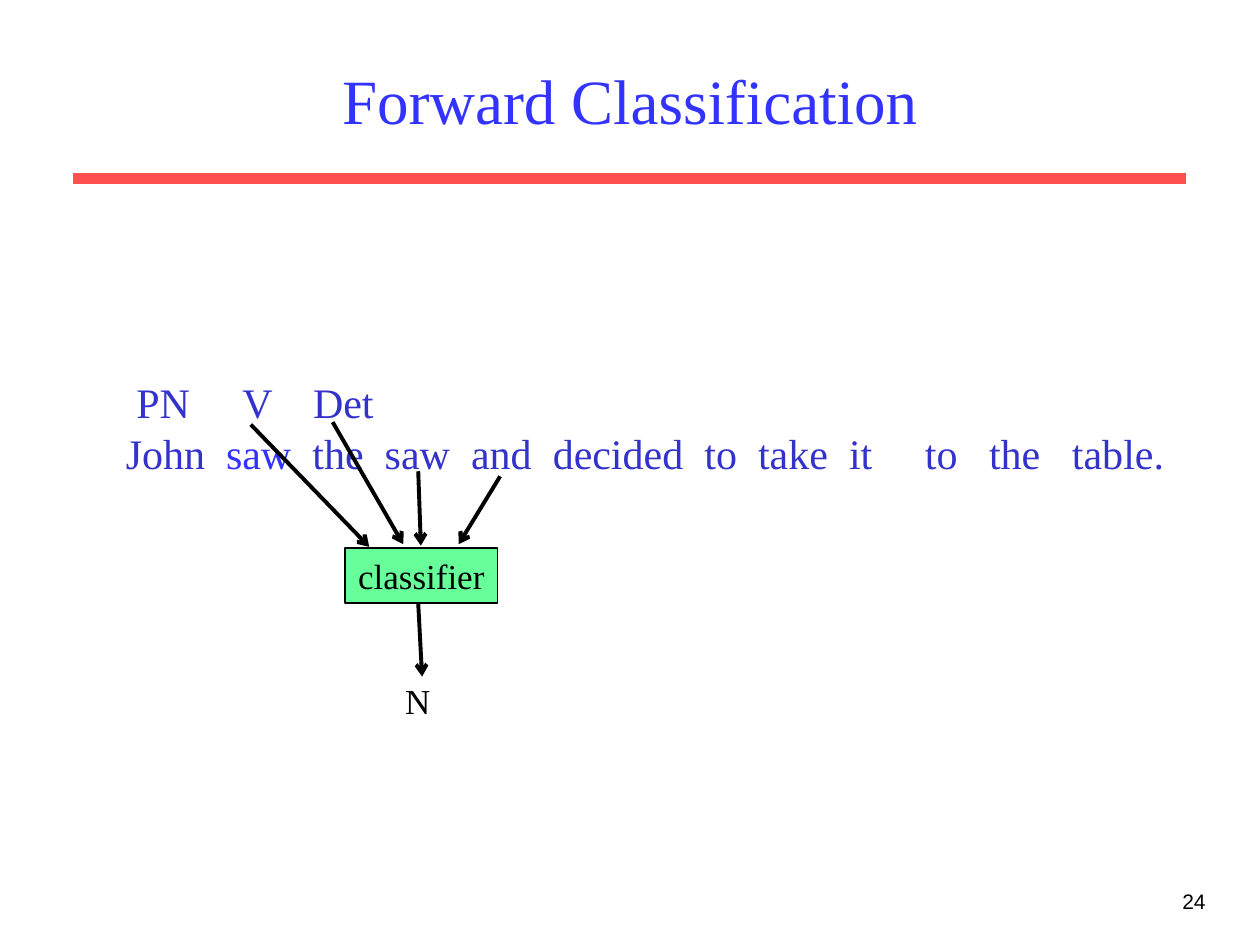
from pptx import Presentation
from pptx.util import Pt
from pptx.dml.color import RGBColor
from pptx.enum.shapes import MSO_CONNECTOR, MSO_SHAPE
from pptx.enum.text import MSO_ANCHOR, PP_ALIGN
from pptx.oxml.ns import qn
from lxml.etree import SubElement

BLACK = RGBColor(0, 0, 0)
BLUE = RGBColor(0x33, 0x33, 0xFF)
NAVY = RGBColor(0x33, 0x33, 0xCC)
RED = RGBColor(0xFF, 0x50, 0x50)
GREEN = RGBColor(0x66, 0xFF, 0x99)
SERIF = "Times New Roman"

deck = Presentation()
deck.slide_width, deck.slide_height = Pt(720), Pt(540)
slide = deck.slides.add_slide(deck.slide_layouts[6])
shapes = slide.shapes


def write(shape, text, size, color, align=PP_ALIGN.CENTER, face=SERIF,
          anchor=MSO_ANCHOR.TOP):
    frame = shape.text_frame
    frame.word_wrap = True
    frame.vertical_anchor = anchor
    para = frame.paragraphs[0]
    para.text = text
    para.alignment = align
    para.font.size = Pt(size)
    para.font.name = face
    para.font.color.rgb = color


def draw(x1, y1, x2, y2, color, width):
    line = shapes.add_connector(MSO_CONNECTOR.STRAIGHT, Pt(x1), Pt(y1), Pt(x2), Pt(y2))
    line.line.color.rgb = color
    line.line.width = Pt(width)
    SubElement(line._element.spPr, qn("a:effectLst"))
    return line


draw(42, 102, 678, 102, RED, 6)

page = shapes.add_textbox(Pt(546), Pt(504), Pt(150), Pt(36))
write(page, "24", 12, BLACK, PP_ALIGN.RIGHT, "Arial")

title = shapes.add_textbox(Pt(54), Pt(18), Pt(612), Pt(78))
write(title, "Forward Classification", 36, BLUE, anchor=MSO_ANCHOR.MIDDLE)

words = shapes.add_textbox(Pt(64.8), Pt(211.7), Pt(607.7), Pt(64.8))
frame = words.text_frame
frame.word_wrap = True
frame.margin_right = 0
rows = [
    ([("\tPN\tV\tDet", NAVY)], [6, 66.7, 107]),
    ([("John\t", NAVY), ("saw", BLUE),
      ("\tthe\tsaw\tand\tdecided\tto\ttake\tit\tto\tthe\ttable.", NAVY)],
     [57.3, 106.7, 148, 197.3, 244, 330.7, 361.3, 413.3, 456.7, 493.3, 540.7]),
]
for num, (parts, stops) in enumerate(rows):
    para = frame.add_paragraph() if num else frame.paragraphs[0]
    tabs = SubElement(para._p.get_or_add_pPr(), qn("a:tabLst"))
    for stop in stops:
        SubElement(tabs, qn("a:tab"), pos=str(Pt(stop)), algn="l")
    para.font.size = Pt(24)
    para.font.name = SERIF
    for text, color in parts:
        run = para.add_run()
        run.text = text
        run.font.color.rgb = color

box = shapes.add_shape(MSO_SHAPE.RECTANGLE, Pt(197.3), Pt(313.2), Pt(87), Pt(31.5))
box.shadow.inherit = False
box.fill.solid()
box.fill.fore_color.rgb = GREEN
box.line.color.rgb = BLACK
box.line.width = Pt(1)
write(box, "classifier", 20, BLACK, anchor=MSO_ANCHOR.MIDDLE)

label = shapes.add_textbox(Pt(216.7), Pt(384.5), Pt(44), Pt(31.5))
write(label, "N", 20, BLACK)

arrows = [
    (143.3, 242.6, 211, 312.5),
    (190.1, 241.2, 230.4, 311),
    (239, 269.3, 240.5, 311.8),
    (285.8, 272.2, 262.1, 311),
    (239, 344.9, 241.2, 386.6),
]
for ends in arrows:
    arrow = draw(*ends, BLACK, 2.25)
    SubElement(arrow.line._get_or_add_ln(), qn("a:tailEnd"), type="arrow")

deck.save("out.pptx")
